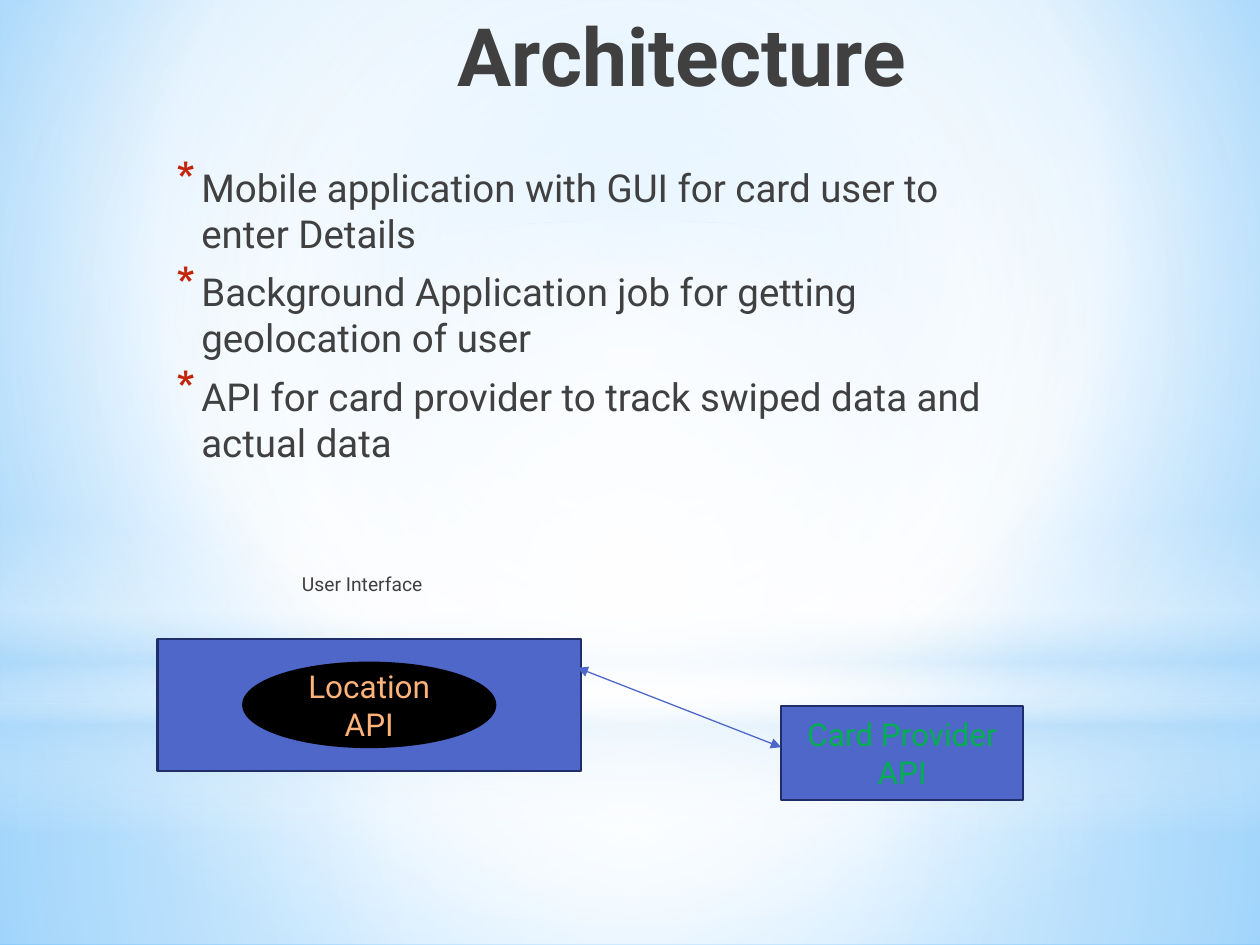
from lxml import etree
from pptx import Presentation
from pptx.dml.color import RGBColor
from pptx.enum.shapes import MSO_CONNECTOR, MSO_SHAPE
from pptx.enum.text import MSO_ANCHOR, MSO_AUTO_SIZE, PP_ALIGN
from pptx.oxml.ns import qn
from pptx.util import Pt

RECTANGLE, OVAL = MSO_SHAPE.RECTANGLE, MSO_SHAPE.OVAL
STRAIGHT = MSO_CONNECTOR.STRAIGHT
TOP, MIDDLE = MSO_ANCHOR.TOP, MSO_ANCHOR.MIDDLE
CENTER, RIGHT = PP_ALIGN.CENTER, PP_ALIGN.RIGHT
NO_AUTOFIT = MSO_AUTO_SIZE.NONE

FONT = "Roboto"
BLACK = RGBColor(0x00, 0x00, 0x00)
WHITE = RGBColor(0xFF, 0xFF, 0xFF)
SKY = RGBColor(0x9E, 0xD5, 0xFF)
DEEP_SKY = RGBColor(0x5B, 0xB9, 0xFF)
PALE_BLUE = RGBColor(0xB4, 0xDC, 0xFA)
CHARCOAL = RGBColor(0x40, 0x40, 0x40)
BLUE = RGBColor(0x4E, 0x67, 0xC8)
NAVY = RGBColor(0x1F, 0x2E, 0x69)
PEACH = RGBColor(0xFF, 0xB3, 0x7A)
GREEN = RGBColor(0x00, 0xB0, 0x50)
RED = RGBColor(0xC3, 0x26, 0x0C)

POINTS = (
    "Mobile application with GUI for card user to enter Details",
    "Background Application job for getting geolocation of user",
    "API for card provider to track swiped data and actual data",
)


def set_gradient(owner, stops, focus=None):
    """Fill the owner with a circular gradient around focus, or a vertical one."""
    owner.fill.solid()
    solid = owner.element.find(".//" + qn("a:solidFill"))
    gradient = etree.Element(qn("a:gradFill"), rotWithShape="1")
    stop_list = etree.SubElement(gradient, qn("a:gsLst"))
    for position, color, opacity in stops:
        stop = etree.SubElement(stop_list, qn("a:gs"), pos=str(position * 1000))
        shade = etree.SubElement(stop, qn("a:srgbClr"), val=str(color))
        if opacity < 100:
            etree.SubElement(shade, qn("a:alpha"), val=str(opacity * 1000))
    if focus:
        circle = etree.SubElement(gradient, qn("a:path"))
        circle.set("path", "circle")
        edges = {side: str(share * 1000) for side, share in zip("ltrb", focus)}
        etree.SubElement(circle, qn("a:fillToRect"), **edges)
    else:
        etree.SubElement(gradient, qn("a:lin"), ang="5400000", scaled="0")
    solid.getparent().replace(solid, gradient)


def format_paragraph(para, size, color, align=None, bold=False):
    """Set the font and alignment of a paragraph."""
    para.alignment = align
    para.font.name, para.font.size, para.font.bold = FONT, Pt(size), bold
    para.font.color.rgb = color


def add_backdrop(page, width):
    """Paint the sky background and its layers of light."""
    center = (50, 50, 50, 50)
    page_fill = page.background
    sky_stops = ((0, SKY, 100), (60, WHITE, 100), (100, DEEP_SKY, 100))
    layers = (
        (RECTANGLE, 402, 138, center,
         ((0, WHITE, 91), (37, WHITE, 76), (100, PALE_BLUE, 79))),
        (RECTANGLE, 0, 402, center,
         ((0, WHITE, 89), (48, WHITE, 62), (100, PALE_BLUE, 79))),
        (RECTANGLE, 297, 180, None,
         ((0, WHITE, 0), (29, WHITE, 30), (45, PALE_BLUE, 40),
          (55, WHITE, 26), (65, PALE_BLUE, 60), (100, WHITE, 0))),
        (OVAL, 126, 402, center, ((0, WHITE, 100), (56, WHITE, 0))),
    )
    page_fill.fill.solid()
    set_gradient(page_background(page), sky_stops, (20, 10, 20, 60))
    for kind, top, height, focus, stops in layers:
        layer = page.shapes.add_shape(kind, 0, Pt(top), Pt(width), Pt(height))
        layer.shadow.inherit = False
        layer.line.fill.background()
        set_gradient(layer, stops, focus)


class page_background:
    """Pair the background fill of a page with the page element."""

    def __init__(self, page):
        self.fill, self.element = page.background.fill, page.element


def add_title(page, left, top, width, height):
    """Place the title above the backdrop."""
    title = page.shapes.title
    title.element.getparent().append(title.element)
    title.left, title.top, title.width, title.height = map(Pt, (left, top, width, height))
    frame = title.text_frame
    frame.text = "Architecture"
    frame.auto_size, frame.vertical_anchor = NO_AUTOFIT, TOP
    format_paragraph(frame.paragraphs[0], 46, CHARCOAL, RIGHT, True)


def add_points(page, left, top, width, height):
    """Write the list with red star bullets."""
    frame = page.shapes.add_textbox(*map(Pt, (left, top, width, height))).text_frame
    frame.word_wrap = True
    frame.text = "\n".join(POINTS)
    for para in frame.paragraphs:
        format_paragraph(para, 22, CHARCOAL)
        para.space_before, para.space_after = Pt(4), Pt(3)
        props = para._p.get_or_add_pPr()
        props.set("marL", str(Pt(18)))
        props.set("indent", str(-Pt(14.4)))
        bullet_color = etree.Element(qn("a:buClr"))
        etree.SubElement(bullet_color, qn("a:srgbClr"), val=str(RED))
        bullet_size = etree.Element(qn("a:buSzPct"), val="130000")
        bullet = etree.Element(qn("a:buChar"), char="*")
        for offset, part in enumerate((bullet_color, bullet_size, bullet)):
            props.insert(2 + offset, part)


def add_node(page, kind, box, fill, outline, label="", color=WHITE):
    """Draw one diagram shape with an optional label."""
    node = page.shapes.add_shape(kind, *map(Pt, box))
    node.shadow.inherit = False
    node.fill.solid()
    node.fill.fore_color.rgb = fill
    node.line.color.rgb, node.line.width = outline, Pt(1.25)
    if label:
        frame = node.text_frame
        frame.text = label
        frame.word_wrap, frame.vertical_anchor = True, MIDDLE
        format_paragraph(frame.paragraphs[0], 18, color, CENTER)


def add_diagram(page, left, top):
    """Draw the user interface, its location API and the card provider."""
    caption = page.shapes.add_textbox(Pt(left + 75.4), Pt(top - 41.5), Pt(110), Pt(21))
    caption.text_frame.word_wrap = True
    caption.text_frame.text = "User Interface"
    format_paragraph(caption.text_frame.paragraphs[0], 11, CHARCOAL)
    add_node(page, RECTANGLE, (left, top, 242, 75.6), BLUE, NAVY)
    add_node(page, OVAL, (left + 49, top + 13.7, 144, 48.2), BLACK, BLACK,
             "Location API", PEACH)
    arrow = page.shapes.add_connector(
        STRAIGHT, *map(Pt, (left + 356.4, top + 62, left + 240, top + 16.6)))
    arrow.line.color.rgb, arrow.line.width = BLUE, Pt(0.75)
    line = arrow.line._get_or_add_ln()
    for end in ("a:headEnd", "a:tailEnd"):
        etree.SubElement(line, qn(end), type="triangle")
    etree.SubElement(line.getparent(), qn("a:effectLst"))
    add_node(page, RECTANGLE, (left + 356.4, top + 38.2, 138.2, 54), BLUE, NAVY,
             "Card Provider API", GREEN)


def main():
    """Build the architecture slide."""
    deck = Presentation()
    deck.slide_width, deck.slide_height = Pt(720), Pt(540)
    page = deck.slides.add_slide(deck.slide_layouts[5])
    add_backdrop(page, 720)
    add_title(page, 12.2, 0, 512.6, 90)
    add_points(page, 90, 90, 504, 200)
    add_diagram(page, 90, 365)
    deck.save("out.pptx")


main()
